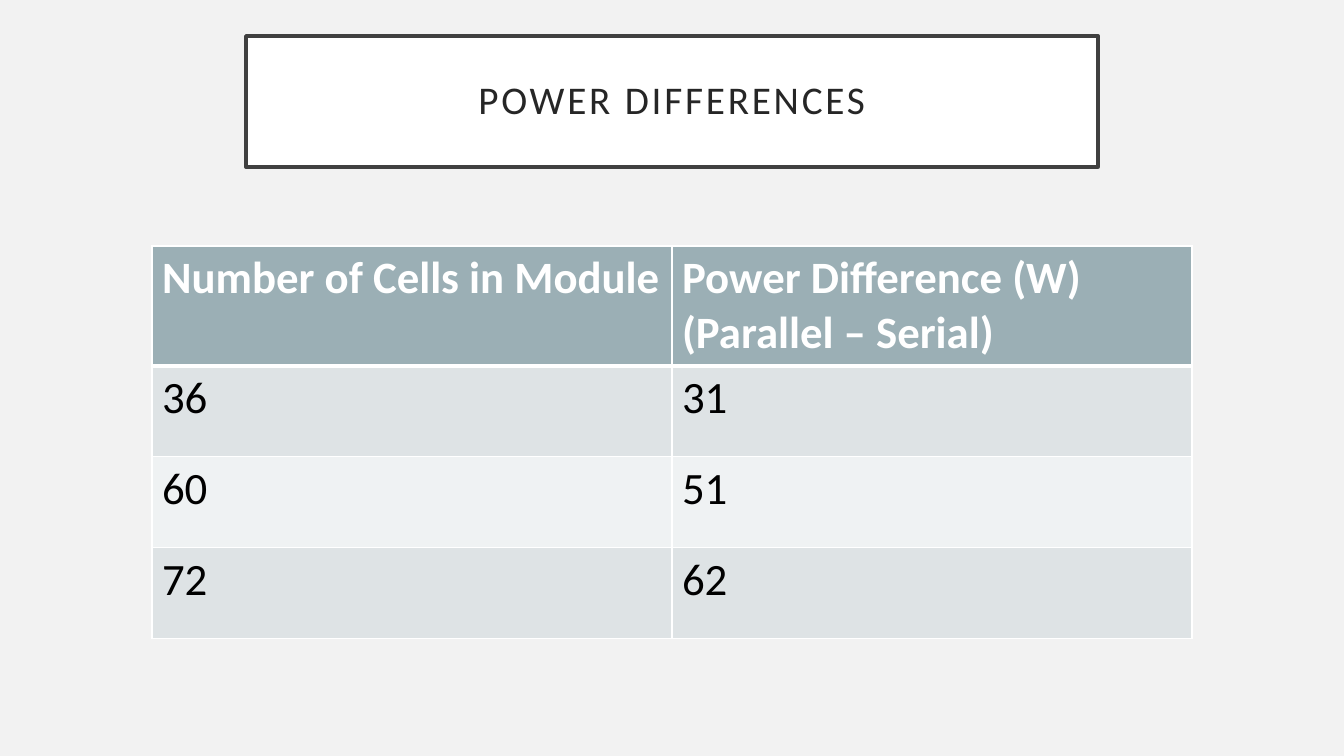
from lxml.etree import SubElement
from pptx import Presentation
from pptx.dml.color import RGBColor
from pptx.enum.text import MSO_ANCHOR, MSO_AUTO_SIZE, PP_ALIGN
from pptx.oxml import parse_xml
from pptx.oxml.ns import nsdecls, qn
from pptx.util import Emu, Pt

SCALE = 914400 / 100.8


def px(num):
    return Emu(round(num * SCALE))


def color(code):
    return RGBColor.from_string(code)


def write(frame, text, font="Calibri", size=32, ink="000000", bold=False,
          align=PP_ALIGN.LEFT, gap=0, lead=1.0):
    para = frame.paragraphs[0]
    para.alignment = align
    para.line_spacing = lead
    run = para.add_run()
    run.text = text
    run.font.name = font
    run.font.size = Pt(size)
    run.font.bold = bold
    run.font.color.rgb = color(ink)
    if gap:
        run.font._element.set("spc", str(gap * 100))


class Deck:
    white, dark, ink = "FFFFFF", "404040", "262626"
    head, bands = "9BAFB5", ("DEE3E5", "EFF2F3")

    def __init__(self, wide, high):
        self.file = Presentation()
        self.file.slide_width, self.file.slide_height = px(wide), px(high)
        self.slide = self.file.slides.add_slide(self.file.slide_layouts[5])

    def back(self, code):
        fill = self.slide.background.fill
        fill.solid()
        fill.fore_color.rgb = color(code)

    def title(self, text, left, top, wide, high):
        box = self.slide.shapes.title
        box.left, box.top, box.width, box.height = map(px, (left, top, wide, high))
        box.fill.solid()
        box.fill.fore_color.rgb = color(self.white)
        box.line.color.rgb = color(self.dark)
        box.line.width = Pt(2.5)
        frame = box.text_frame
        frame.word_wrap = True
        frame.auto_size = MSO_AUTO_SIZE.NONE
        frame.vertical_anchor = MSO_ANCHOR.MIDDLE
        frame.margin_left = frame.margin_right = px(20)
        frame.margin_top = frame.margin_bottom = px(20)
        write(frame, text, size=28, ink=self.ink, align=PP_ALIGN.CENTER,
              gap=2, lead=0.9)

    def edges(self, cell, **sizes):
        props = cell._tc.get_or_add_tcPr()
        for spot, (side, size) in enumerate(sizes.items()):
            line = parse_xml(f'<a:{side} {nsdecls("a")} w="{Pt(size)}"/>')
            fill = SubElement(line, qn("a:solidFill"))
            SubElement(fill, qn("a:srgbClr"), val=self.white)
            props.insert(spot, line)

    def table(self, rows, left, top, wide, highs):
        cols = len(rows[0])
        grid = self.slide.shapes.add_table(
            len(rows), cols, px(left), px(top), px(wide), px(sum(highs))).table
        for col in grid.columns:
            col.width = px(wide // cols)
        for r, (row, high) in enumerate(zip(rows, highs)):
            grid.rows[r].height = px(high)
            for c, text in enumerate(row):
                cell = grid.cell(r, c)
                cell.fill.solid()
                cell.fill.fore_color.rgb = color(self.bands[(r - 1) % 2] if r else self.head)
                self.edges(cell, lnL=1, lnR=1, lnT=3 if r == 1 else 1,
                           lnB=1 if r else 3)
                write(cell.text_frame, text, bold=r == 0,
                      ink="000000" if r else self.white)


def main():
    deck = Deck(1344, 756)
    deck.back("F2F2F2")

    # Heading
    deck.title("POWER DIFFERENCES", 246, 36, 852, 131)

    # Power by module size
    rows = [("Number of Cells in Module", "Power Difference (W) (Parallel – Serial)"),
            ("36", "31"), ("60", "51"), ("72", "62")]
    deck.table(rows, 152, 246, 1040, [119, 91, 91, 91])

    deck.file.save("out.pptx")


if __name__ == "__main__":
    main()
